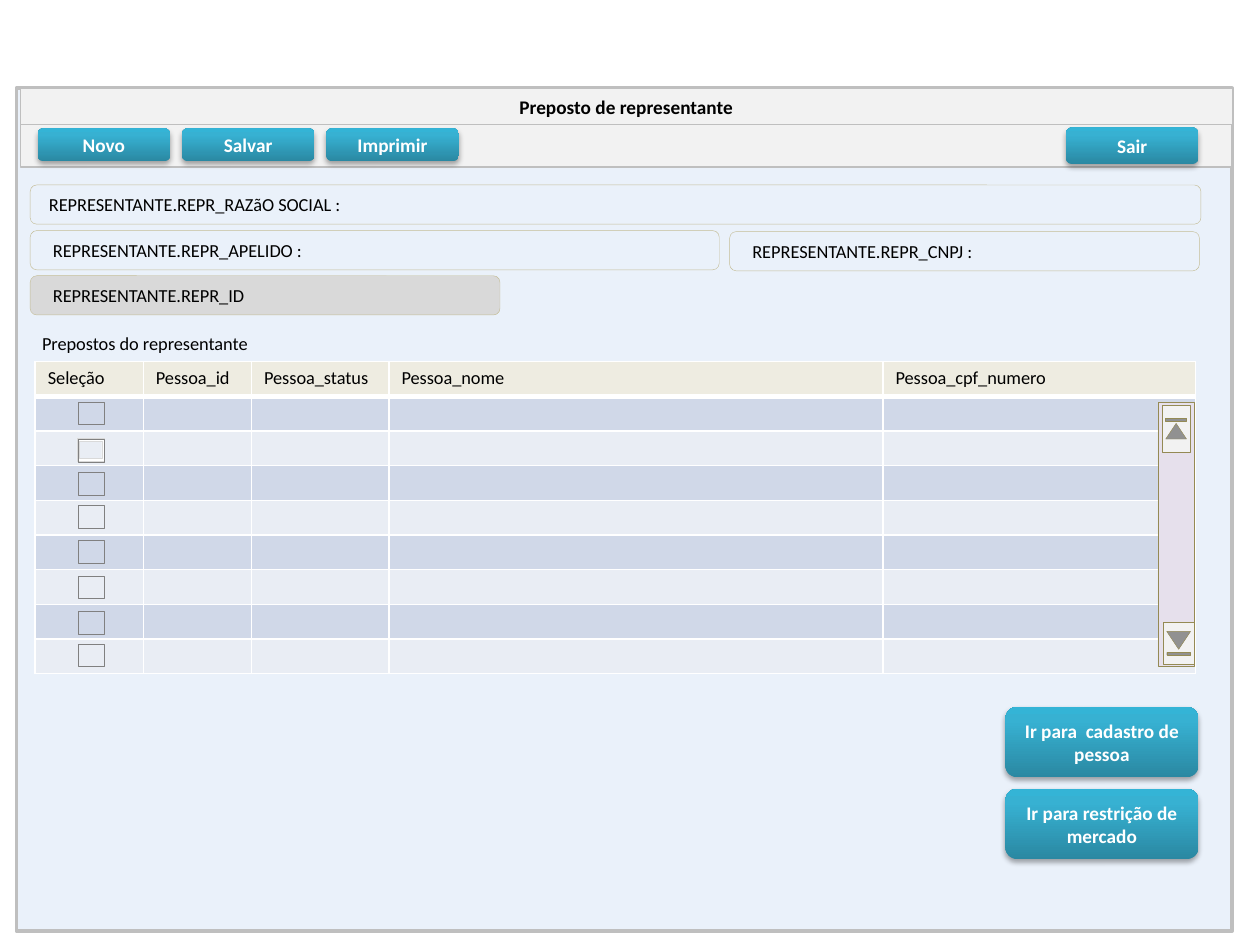
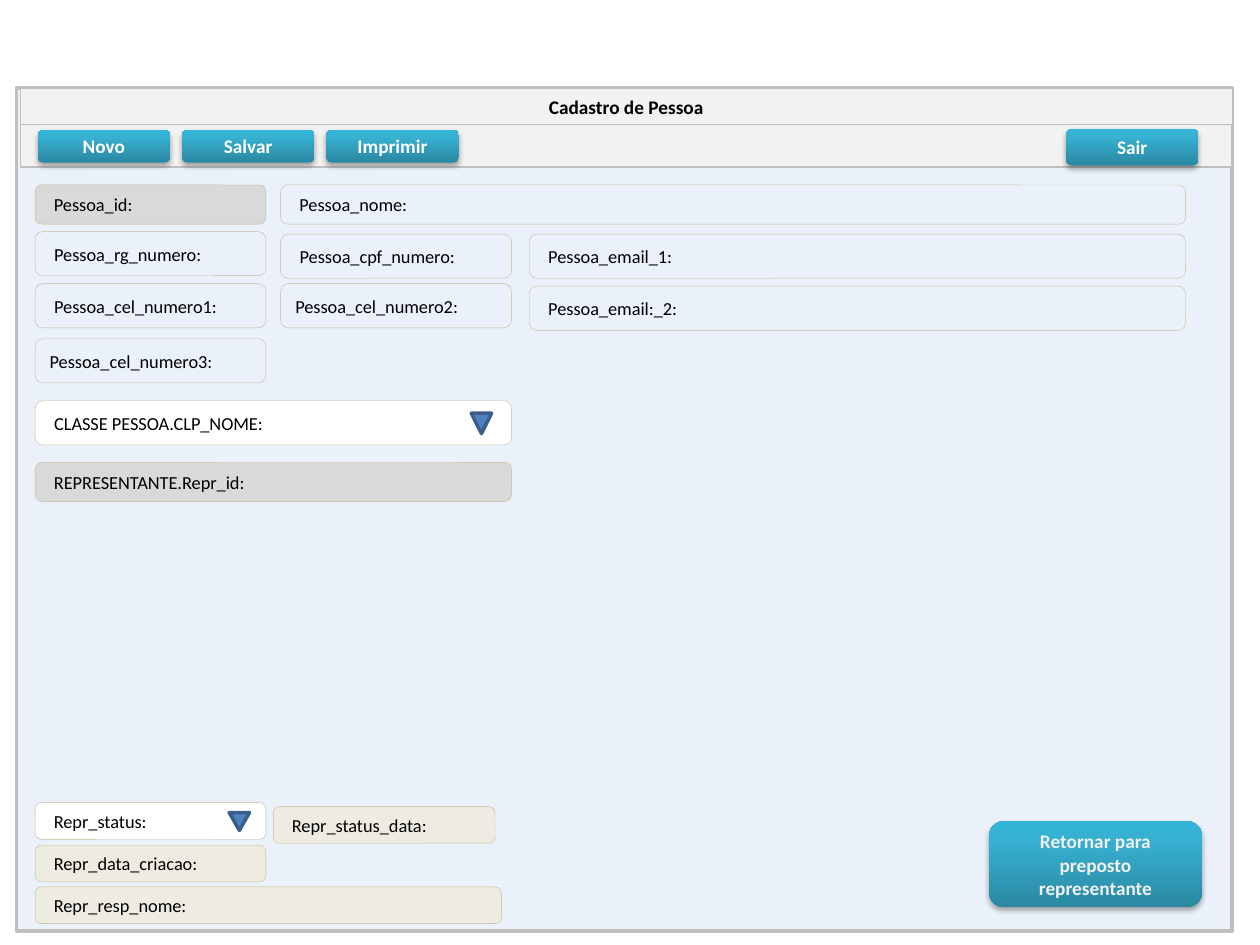
from copy import deepcopy

from lxml import etree
from pptx import Presentation
from pptx.dml.color import RGBColor
from pptx.enum.shapes import MSO_SHAPE
from pptx.enum.text import MSO_ANCHOR, MSO_AUTO_SIZE, PP_ALIGN
from pptx.oxml import parse_xml
from pptx.oxml.ns import nsdecls, qn
from pptx.util import Cm, Pt

HUES = {
    "page": "EAF1FA", "edge": "BFBFBF", "bar": "F2F2F2", "tan": "C4BD97",
    "lock": "D9D9D9", "cream": "EEECE1", "white": "FFFFFF", "black": "000000",
    "deep": "2A88A2", "teal": "37B1D2", "top": "34B4D6",
    "odd": "D0D8E8", "even": "E9EDF4", "check": "808080",
    "track": "E6E0EC", "olive": "948A54", "blue": "4F81BD", "navy": "3A5F8C",
}
RGB = {name: RGBColor.from_string(code) for name, code in HUES.items()}
FONT = "Calibri"
RECT, ROUND = MSO_SHAPE.RECTANGLE, MSO_SHAPE.ROUNDED_RECTANGLE
SHADE = (
    f'<a:outerShdw {nsdecls("a")} blurRad="40000" dist="23000" dir="5400000"'
    ' rotWithShape="0"><a:srgbClr val="000000"><a:alpha val="35000"/>'
    "</a:srgbClr></a:outerShdw>"
)


def box(shapes, kind, at, fill=None, line=None, width=0.25, text="", pad=0.25):
    """Add a preset shape, placed in cm, with an optional left-aligned label."""
    shape = shapes.add_shape(kind, *[Cm(n) for n in at])
    shape.shadow.inherit = False
    if fill:
        shape.fill.solid()
        shape.fill.fore_color.rgb = RGB[fill]
    else:
        shape.fill.background()
    if line:
        shape.line.color.rgb = RGB[line]
        shape.line.width = Pt(width)
    else:
        shape.line.fill.background()
    if text:
        frame = shape.text_frame
        frame.word_wrap = True
        frame.margin_left = Cm(pad)
        frame.vertical_anchor = MSO_ANCHOR.MIDDLE
        para = frame.paragraphs[0]
        para.alignment = PP_ALIGN.LEFT
        run = para.add_run()
        run.text = text
        run.font.name, run.font.size = FONT, Pt(10.5)
        run.font.color.rgb = RGB["black"]
    return shape


def button(shapes, at, text, hue="white"):
    """Add a glossy teal button with a soft shadow and a bold centred label."""
    shape = box(shapes, ROUND, at, text=text)
    para = shape.text_frame.paragraphs[0]
    para.alignment = PP_ALIGN.CENTER
    font = para.runs[0].font
    font.size, font.bold = Pt(11), True
    font.color.rgb = RGB[hue]
    shape.fill.gradient()
    shape.fill.gradient_angle = 90
    props = shape.element.spPr
    stops = props.find(qn("a:gradFill")).find(qn("a:gsLst"))
    stops.append(deepcopy(stops[-1]))
    hues = [(0, "deep"), (0.8, "teal"), (1, "top")]
    for stop, (spot, name) in zip(shape.fill.gradient_stops, hues):
        stop.position = spot
        stop.color.rgb = RGB[name]
    props.find(qn("a:effectLst")).append(parse_xml(SHADE))


deck = Presentation()
deck.slide_width, deck.slide_height = Cm(25.4), Cm(19.05)

# Window frame, title bar and toolbar of both screens
pages = []
for name, top in [("Preposto de representante", 2.59), ("Cadastro de Pessoa", 2.62)]:
    slide = deck.slides.add_slide(deck.slide_layouts[5])
    shapes = slide.shapes
    pages.append(shapes)
    title = shapes.title
    pane = box(shapes, RECT, (0.33, 1.78, 24.51, 16.99), "page", "edge", 2)
    title.element.addprevious(pane.element)
    title.left, title.top = Cm(0.41), Cm(1.78)
    title.width, title.height = Cm(24.43), Cm(0.74)
    title.fill.solid()
    title.fill.fore_color.rgb = RGB["bar"]
    title.line.color.rgb = RGB["edge"]
    title.line.width = Pt(0.75)
    frame = title.text_frame
    frame.auto_size = MSO_AUTO_SIZE.NONE
    frame.word_wrap = True
    frame.vertical_anchor = MSO_ANCHOR.MIDDLE
    para = frame.paragraphs[0]
    para.alignment = PP_ALIGN.CENTER
    run = para.add_run()
    run.text = name
    run.font.name, run.font.size, run.font.bold = FONT, Pt(11), True
    run.font.color.rgb = RGB["black"]

    box(shapes, RECT, (0.41, 2.51, 24.43, 0.86), "bar", "edge", 0.75)
    for i, text in enumerate(["Novo", "Salvar", "Imprimir"]):
        button(shapes, (0.76 + 2.91 * i, top, 2.67, 0.66), text)
    button(shapes, (21.49, top - 0.02, 2.67, 0.74), "Sair")

first, last = pages

# Screen 1: fields of the representative
for text, at, fill, pad in [
    ("REPRESENTANTE.REPR_RAZãO SOCIAL :", (0.61, 3.73, 23.6, 0.79), None, 0.34),
    ("REPRESENTANTE.REPR_APELIDO :", (0.61, 4.65, 13.89, 0.79), None, 0.42),
    ("REPRESENTANTE.REPR_CNPJ :", (14.71, 4.67, 9.47, 0.79), None, 0.42),
    ("REPRESENTANTE.REPR_ID", (0.61, 5.56, 9.47, 0.79), "lock", 0.42),
]:
    box(first, ROUND, at, fill, "tan", text=text, pad=pad)
box(first, ROUND, (0.56, 6.53, 9.47, 0.79), text="Prepostos do representante")

# Screen 1: list of people
heads = ["Seleção", "Pessoa_id", "Pessoa_status", "Pessoa_nome", "Pessoa_cpf_numero"]
wide = [2.18, 2.18, 2.77, 9.96, 6.3]
rows, tall = 9, 0.7
table = first.add_table(
    rows, len(heads), Cm(0.71), Cm(7.29), Cm(sum(wide)), Cm(rows * tall)
).table
for col, size in zip(table.columns, wide):
    col.width = Cm(size)
for r, row in enumerate(table.rows):
    row.height = Cm(tall)
    for c, cell in enumerate(row.cells):
        cell.margin_top = cell.margin_bottom = Cm(0.12)
        props = cell._tc.get_or_add_tcPr()
        for side in "LRTB":
            thick = 3 if (r, side) in [(0, "B"), (1, "T")] else 1
            props.append(parse_xml(
                f'<a:ln{side} {nsdecls("a")} w="{Pt(thick)}"><a:solidFill>'
                f'<a:srgbClr val="{HUES["white"]}"/></a:solidFill></a:ln{side}>'
            ))
        cell.fill.solid()
        fill = "cream" if r == 0 else "odd" if r % 2 else "even"
        cell.fill.fore_color.rgb = RGB[fill]
        para = cell.text_frame.paragraphs[0]
        if r == 0:
            run = para.add_run()
            run.text = heads[c]
            run.font.name, run.font.size, run.font.bold = FONT, Pt(10.5), False
            run.font.color.rgb = RGB["black"]
        else:
            etree.SubElement(para._p, qn("a:endParaRPr"), sz="1050")

# Screen 1: scroll bar and check boxes
scroll = first.add_group_shape().shapes
box(scroll, RECT, (23.34, 8.1, 0.74, 5.33), "track", "olive")
for at, turn in [((23.24, 8.36, 0.94, 0.56), 270), ((23.34, 12.65, 0.84, 0.64), 90)]:
    arrow = box(scroll, MSO_SHAPE.ACTION_BUTTON_END, at, "bar", "olive")
    arrow.rotation = turn

box(first, MSO_SHAPE.FRAME, (1.55, 8.84, 0.56, 0.46), "white", "lock")
for y in [8.1, 8.86, 9.53, 10.19, 10.9, 11.61, 12.32, 12.98]:
    box(first, RECT, (1.57, y, 0.53, 0.46), line="check")

for i, text in enumerate(["Ir para  cadastro de pessoa", "Ir para restrição de mercado"]):
    button(first, (20.27, 14.25 + 1.65 * i, 3.89, 1.42), text)

# Screen 2: fields of the person
for text, at, fill, pad in [
    ("Pessoa_id:", (0.71, 3.73, 4.65, 0.79), "lock", 0.34),
    ("Pessoa_nome:", (5.66, 3.73, 18.24, 0.79), None, 0.34),
    ("Pessoa_rg_numero:", (0.71, 4.67, 4.65, 0.89), None, 0.34),
    ("Pessoa_cpf_numero:", (5.66, 4.72, 4.65, 0.89), None, 0.34),
    ("Pessoa_email_1:", (10.67, 4.72, 13.23, 0.89), None, 0.34),
    ("Pessoa_cel_numero1:", (0.71, 5.72, 4.65, 0.89), None, 0.34),
    ("Pessoa_cel_numero2:", (5.66, 5.72, 4.65, 0.89), None, 0.25),
    ("Pessoa_email:_2:", (10.67, 5.77, 13.23, 0.89), None, 0.34),
    ("Pessoa_cel_numero3:", (0.71, 6.83, 4.65, 0.89), None, 0.25),
    ("CLASSE PESSOA.CLP_NOME:", (0.71, 8.08, 9.6, 0.89), "white", 0.34),
    ("REPRESENTANTE.Repr_id:", (0.71, 9.32, 9.6, 0.79), "lock", 0.34),
    ("Repr_status:", (0.71, 16.18, 4.65, 0.74), "white", 0.34),
    ("Repr_status_data:", (5.51, 16.26, 4.47, 0.74), "cream", 0.34),
    ("Repr_data_criacao:", (0.71, 17.04, 4.65, 0.74), "cream", 0.34),
    ("Repr_resp_nome:", (0.71, 17.88, 9.4, 0.74), "cream", 0.34),
]:
    box(last, ROUND, at, fill, "tan", text=text, pad=pad)

for at in [(9.5, 8.33, 0.41, 0.41), (4.62, 16.38, 0.41, 0.36)]:
    arrow = box(last, MSO_SHAPE.FLOWCHART_EXTRACT, at, "blue", "navy", 2)
    arrow.rotation = 180

button(last, (19.94, 16.56, 4.29, 1.73), "Retornar para preposto representante", "bar")

deck.save("out.pptx")
